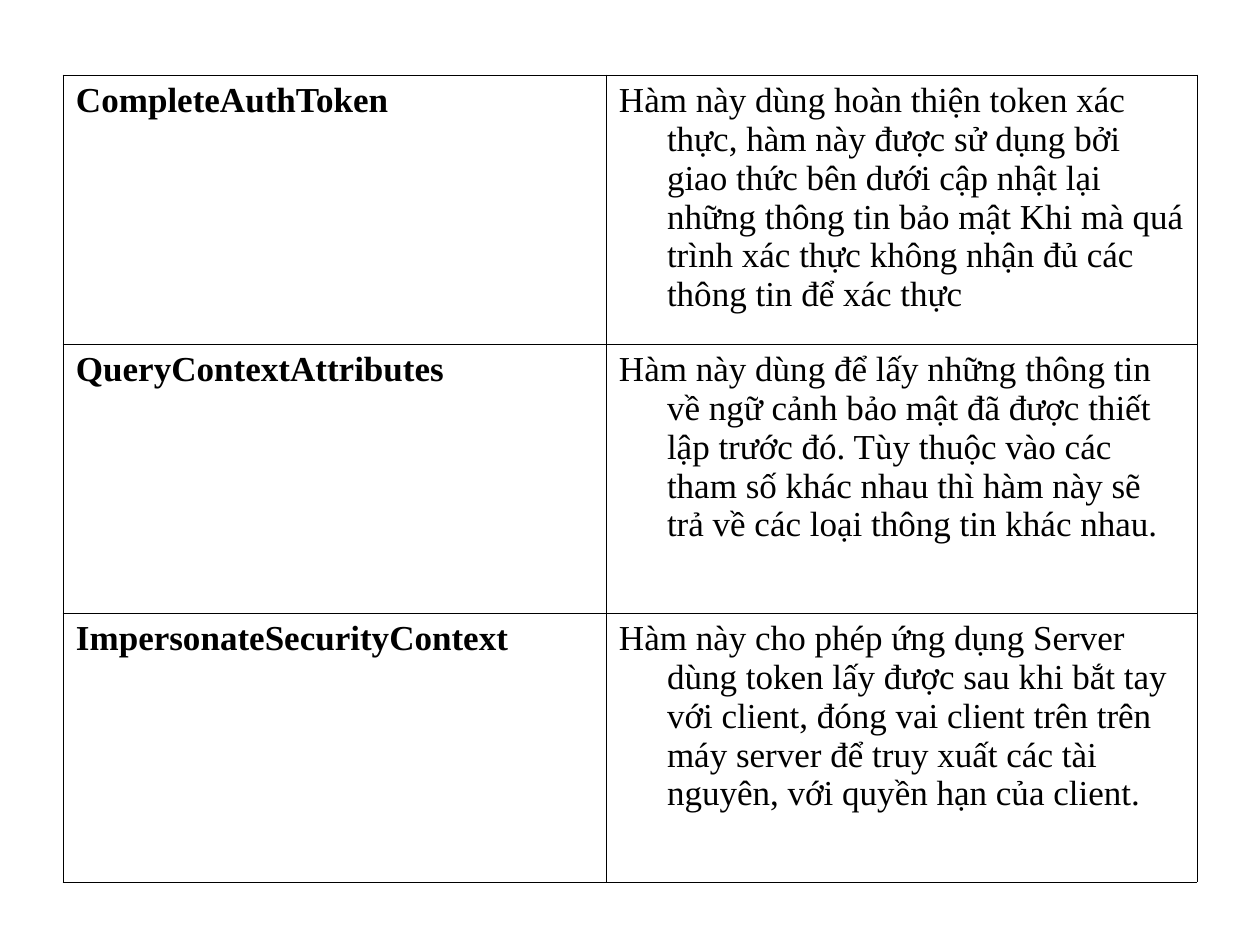
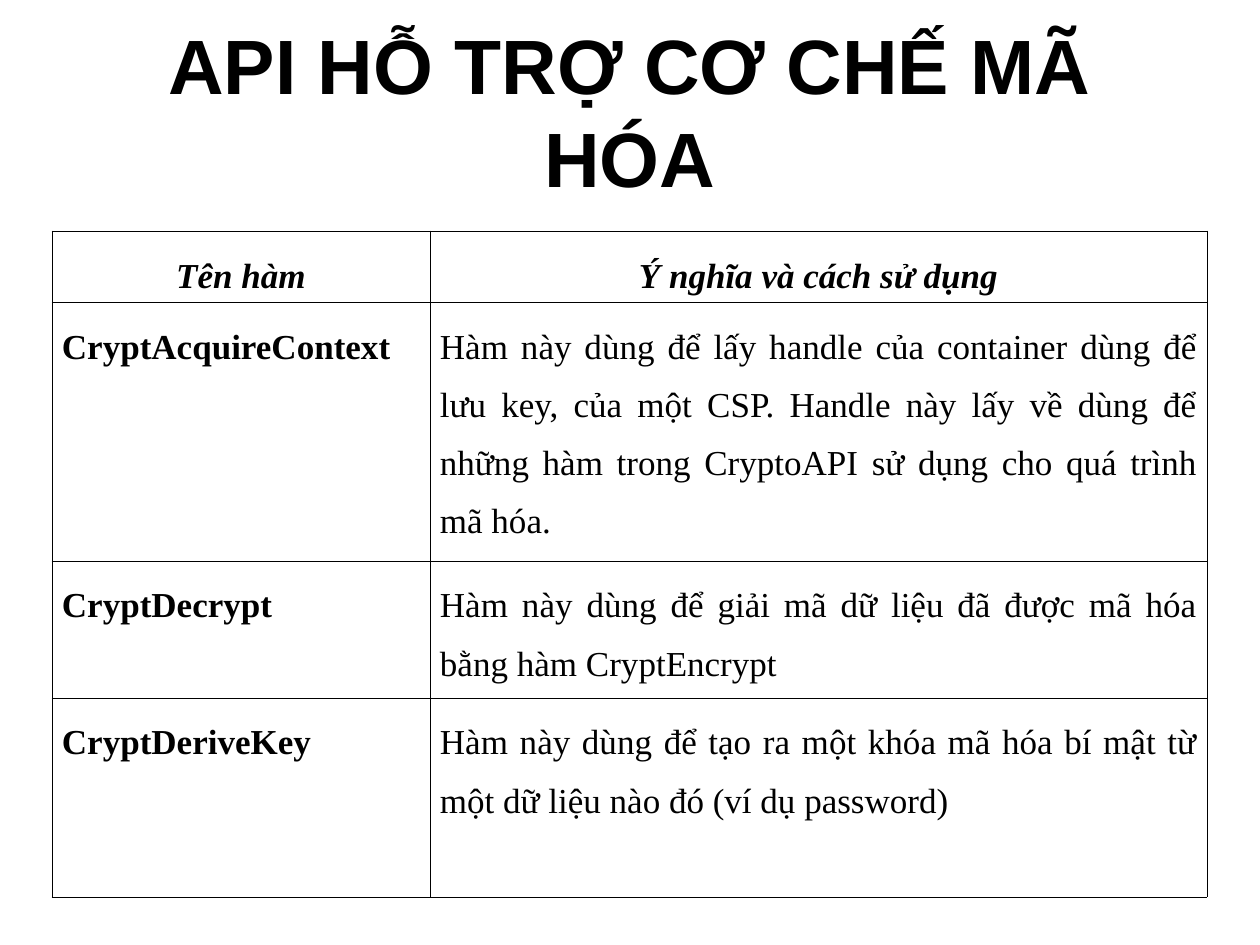
from lxml import etree
from pptx import Presentation
from pptx.dml.color import RGBColor
from pptx.enum.text import MSO_ANCHOR, PP_ALIGN
from pptx.oxml.ns import qn
from pptx.util import Emu, Pt

LEFT, CENTER, JUSTIFY = PP_ALIGN.LEFT, PP_ALIGN.CENTER, PP_ALIGN.JUSTIFY
MIDDLE = MSO_ANCHOR.MIDDLE

# Content
AUTH_FUNCTIONS = [
    ("CompleteAuthToken",
     "Hàm này dùng hoàn thiện token xác thực, hàm này được sử dụng bởi giao thức bên dưới "
     "cập nhật lại những thông tin bảo mật Khi mà quá trình xác thực không nhận đủ các "
     "thông tin để xác thực"),
    ("QueryContextAttributes",
     "Hàm này dùng để lấy những thông tin về ngữ cảnh bảo mật đã được thiết lập trước đó. "
     "Tùy thuộc vào các tham số khác nhau thì hàm này sẽ trả về các loại thông tin khác nhau."),
    ("ImpersonateSecurityContext",
     "Hàm này cho phép ứng dụng Server dùng token lấy được sau khi bắt tay với client, "
     "đóng vai client trên trên máy server để truy xuất các tài nguyên, "
     "với quyền hạn của client."),
]
CRYPT_TITLE = "API HỖ TRỢ CƠ CHẾ MÃ HÓA"
CRYPT_HEADER = ("Tên hàm", "Ý nghĩa và cách sử dụng")
CRYPT_FUNCTIONS = [
    ("CryptAcquireContext",
     "Hàm này dùng để lấy handle của container dùng để lưu key, của một CSP. Handle này lấy "
     "về dùng để những hàm trong CryptoAPI sử dụng cho quá trình mã hóa."),
    ("CryptDecrypt",
     "Hàm này dùng để giải mã dữ liệu đã được mã hóa bằng hàm CryptEncrypt"),
    ("CryptDeriveKey",
     "Hàm này dùng để tạo ra một khóa mã hóa bí mật từ một dữ liệu nào đó (ví dụ password)"),
]

# Table text stores each Vietnamese tone as a combining mark after its vowel
VOWELS = "aăâeêioôơuưy"
TONED_VOWELS = {
    0x300: "àằầèềìòồờùừỳ",  # grave
    0x301: "áắấéếíóốớúứý",  # acute
    0x303: "ãẵẫẽễĩõỗỡũữỹ",  # tilde
    0x309: "ảẳẩẻểỉỏổởủửỷ",  # hook above
    0x323: "ạặậẹệịọộợụựỵ",  # dot below
}
SPLIT_TONES = str.maketrans({
    toned: vowel + chr(mark)
    for mark, row in TONED_VOWELS.items()
    for lower_toned, lower_vowel in zip(row, VOWELS)
    for toned, vowel in ((lower_toned, lower_vowel),
                         (lower_toned.upper(), lower_vowel.upper()))
})

# Shared style
COLORS = {"text": "000000", "border": "000000"}
TITLE_FONT, BODY_FONT = "Arial", "Times New Roman"
TITLE_SIZE, BODY_SIZE = 44, 20
BORDER_WIDTH = Pt(0.45)
PX_PER_INCH = 126
HANGING_INDENT = 48


def px(length):
    return Emu(round(length * 914400 / PX_PER_INCH))


def write_text(frame, text, font=BODY_FONT, size=BODY_SIZE, bold=False, italic=False,
               align=LEFT, hanging=0, line_spacing=None, space_after=None):
    para = frame.paragraphs[0]
    para.alignment = align
    para.line_spacing = line_spacing
    if space_after is not None:
        para.space_after = Pt(space_after)
    if hanging:
        properties = para._p.get_or_add_pPr()
        properties.set("marL", str(px(hanging)))
        properties.set("indent", str(-px(hanging)))
    span = para.add_run()
    span.text = text
    span.font.name = font
    span.font.size = Pt(size)
    span.font.bold = bold
    span.font.italic = italic
    span.font.color.rgb = RGBColor.from_string(COLORS["text"])


def draw_borders(cell):
    properties = cell._tc.get_or_add_tcPr()
    for position, side in enumerate(("lnL", "lnR", "lnT", "lnB")):
        line = etree.Element(qn(f"a:{side}"), w=str(BORDER_WIDTH))
        fill = etree.SubElement(line, qn("a:solidFill"))
        etree.SubElement(fill, qn("a:srgbClr"), val=COLORS["border"])
        properties.insert(position, line)


def add_function_table(page, rows, left, top, widths, heights, side_margin,
                       bottom_margin=6, meaning_align=LEFT, has_header=False,
                       **text_format):
    frame = page.shapes.add_table(len(rows), len(widths), px(left), px(top),
                                  px(sum(widths)), px(sum(heights)))
    table = frame.table
    table.first_row = has_header
    table.horz_banding = False
    for column, width in zip(table.columns, widths):
        column.width = px(width)
    for row, height in zip(table.rows, heights):
        row.height = px(height)
    for row_index, texts in enumerate(rows):
        is_header = has_header and row_index == 0
        for column_index, text in enumerate(texts):
            is_name = column_index == 0
            cell = table.cell(row_index, column_index)
            cell.fill.background()
            cell.margin_left = cell.margin_right = px(side_margin)
            cell.margin_bottom = px(bottom_margin)
            draw_borders(cell)
            align = CENTER if is_header else LEFT if is_name else meaning_align
            write_text(cell.text_frame, text.translate(SPLIT_TONES),
                       bold=is_header or is_name, italic=is_header,
                       align=align, **text_format)


def add_title(page, text):
    box = page.shapes.add_textbox(px(63), px(31), px(1134), px(158))
    box.text_frame.word_wrap = True
    box.text_frame.vertical_anchor = MIDDLE
    write_text(box.text_frame, text, font=TITLE_FONT, size=TITLE_SIZE,
               bold=True, align=CENTER)


def main():
    deck = Presentation()
    deck.slide_width, deck.slide_height = px(1260), px(945)
    blank = deck.slide_layouts[6]

    # Authentication functions
    page = deck.slides.add_slide(blank)
    add_function_table(page, AUTH_FUNCTIONS, left=63, top=75, widths=(543, 591),
                       heights=[269] * len(AUTH_FUNCTIONS), side_margin=13,
                       hanging=HANGING_INDENT)

    # Encryption functions
    page = deck.slides.add_slide(blank)
    add_title(page, CRYPT_TITLE)
    add_function_table(page, [CRYPT_HEADER, *CRYPT_FUNCTIONS], left=52, top=231,
                       widths=(378, 777), heights=(71, 259, 137, 199), side_margin=10,
                       bottom_margin=0, meaning_align=JUSTIFY, has_header=True,
                       line_spacing=1.5, space_after=10)

    deck.save("out.pptx")


if __name__ == "__main__":
    main()
